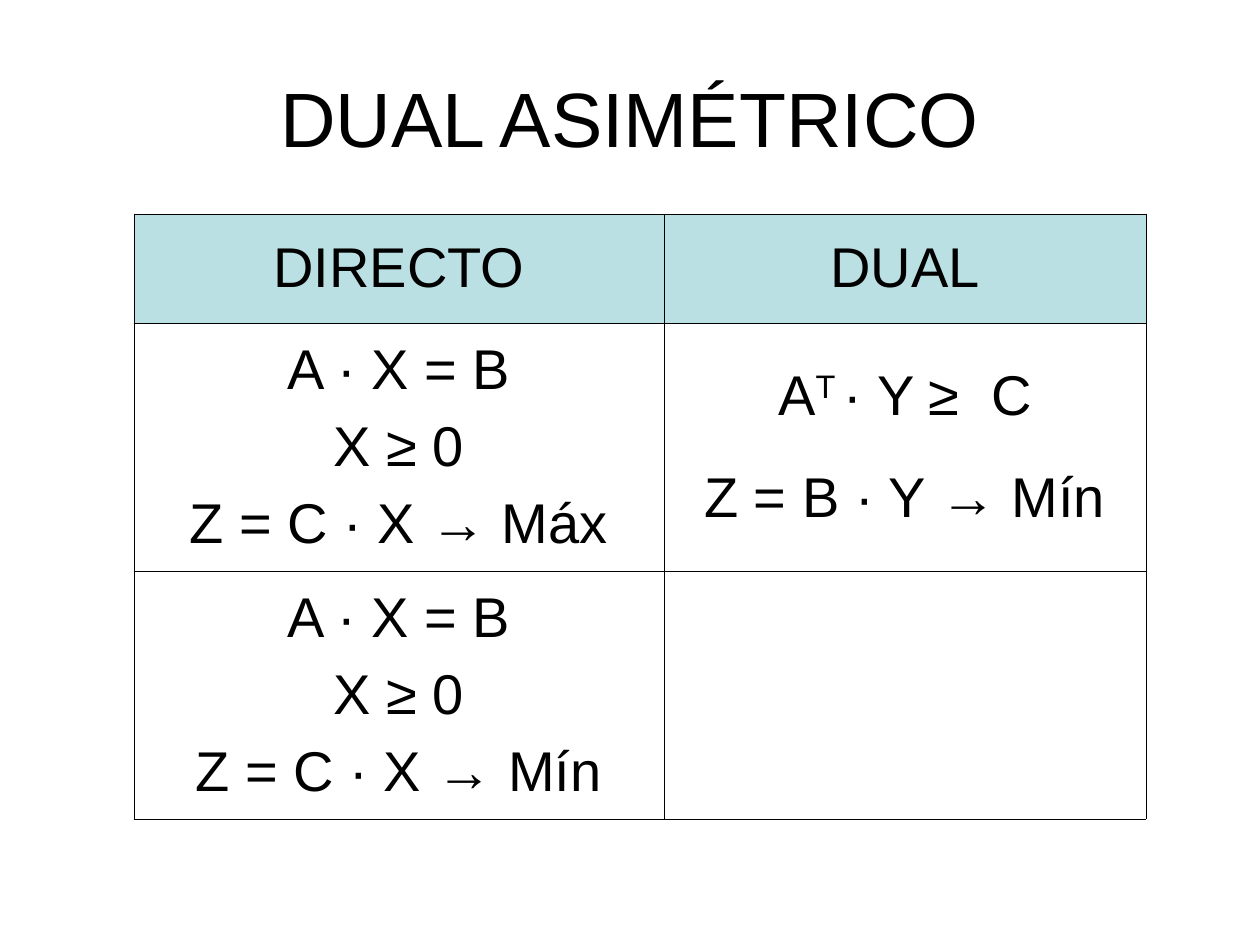
from lxml.etree import SubElement
from pptx import Presentation
from pptx.dml.color import RGBColor
from pptx.enum.text import MSO_ANCHOR as Anchor, PP_ALIGN as Align
from pptx.oxml.ns import qn
from pptx.util import Emu, Pt

EMU_PER_PX = 914400 / 126
BLACK = "000000"
HEADER_FILL = "BBE0E3"
COLUMN_WIDTHS = (530, 482)
ROW_HEIGHTS = (109, 248, 248)


def px(length):
    return Emu(round(length * EMU_PER_PX))


def color(hex_value):
    return RGBColor.from_string(hex_value)


def direct_problem(goal):
    return ["A · X = B", "X ≥ 0", f"Z = C · X → {goal}"]


def write_text(frame, lines, size, gap=0, font="Arial", fill=BLACK):
    frame.word_wrap = True
    for index, line in enumerate(lines):
        paragraph = frame.paragraphs[0] if index == 0 else frame.add_paragraph()
        paragraph.alignment = Align.CENTER
        if index:
            paragraph.space_before = Pt(gap)
        pieces = [(line, {})] if isinstance(line, str) else line
        for text, attributes in pieces:
            run = paragraph.add_run()
            run.text = text
            run.font.name = font
            run.font.size = Pt(size)
            run.font.color.rgb = color(fill)
            for name, value in attributes.items():
                run.font._element.set(name, value)


def add_title(slide, text):
    shape = slide.shapes.add_textbox(px(63), px(38), px(1134), px(158))
    shape.text_frame.vertical_anchor = Anchor.MIDDLE
    write_text(shape.text_frame, [text], size=44)


def add_borders(cell, width=0.45):
    properties = cell._tc.get_or_add_tcPr()
    for side in ("lnL", "lnR", "lnT", "lnB"):
        line = SubElement(properties, qn(f"a:{side}"), w=str(Pt(width)))
        fill = SubElement(line, qn("a:solidFill"))
        SubElement(fill, qn("a:srgbClr"), val=BLACK)


def format_cell(cell, lines, gap=8, fill=None):
    cell.vertical_anchor = Anchor.MIDDLE
    add_borders(cell)
    if fill:
        cell.fill.solid()
        cell.fill.fore_color.rgb = color(fill)
    else:
        cell.fill.background()
    write_text(cell.text_frame, lines, size=32, gap=gap)


def add_problem_table(slide):
    frame = slide.shapes.add_table(
        len(ROW_HEIGHTS), len(COLUMN_WIDTHS), px(134), px(214),
        px(sum(COLUMN_WIDTHS)), px(sum(ROW_HEIGHTS)))
    table = frame.table
    table.first_row = False
    table.horz_banding = False
    for column, width in zip(table.columns, COLUMN_WIDTHS):
        column.width = px(width)
    for row, height in zip(table.rows, ROW_HEIGHTS):
        row.height = px(height)

    dual_constraint = [("A", {}), ("T ", {"baseline": "30000"}), ("· Y ≥", {}),
                       (" ", {"spc": "900"}), ("C", {})]
    format_cell(table.cell(0, 0), ["DIRECTO"], fill=HEADER_FILL)
    format_cell(table.cell(0, 1), ["DUAL"], fill=HEADER_FILL)
    format_cell(table.cell(1, 0), direct_problem("Máx"))
    format_cell(table.cell(1, 1), [dual_constraint, "Z = B · Y → Mín"], gap=22)
    format_cell(table.cell(2, 0), direct_problem("Mín"))
    format_cell(table.cell(2, 1), [])


def main():
    presentation = Presentation()
    presentation.slide_width = px(1260)
    presentation.slide_height = px(945)
    slide = presentation.slides.add_slide(presentation.slide_layouts[6])
    add_problem_table(slide)
    add_title(slide, "DUAL ASIMÉTRICO")
    presentation.save("out.pptx")


if __name__ == "__main__":
    main()
